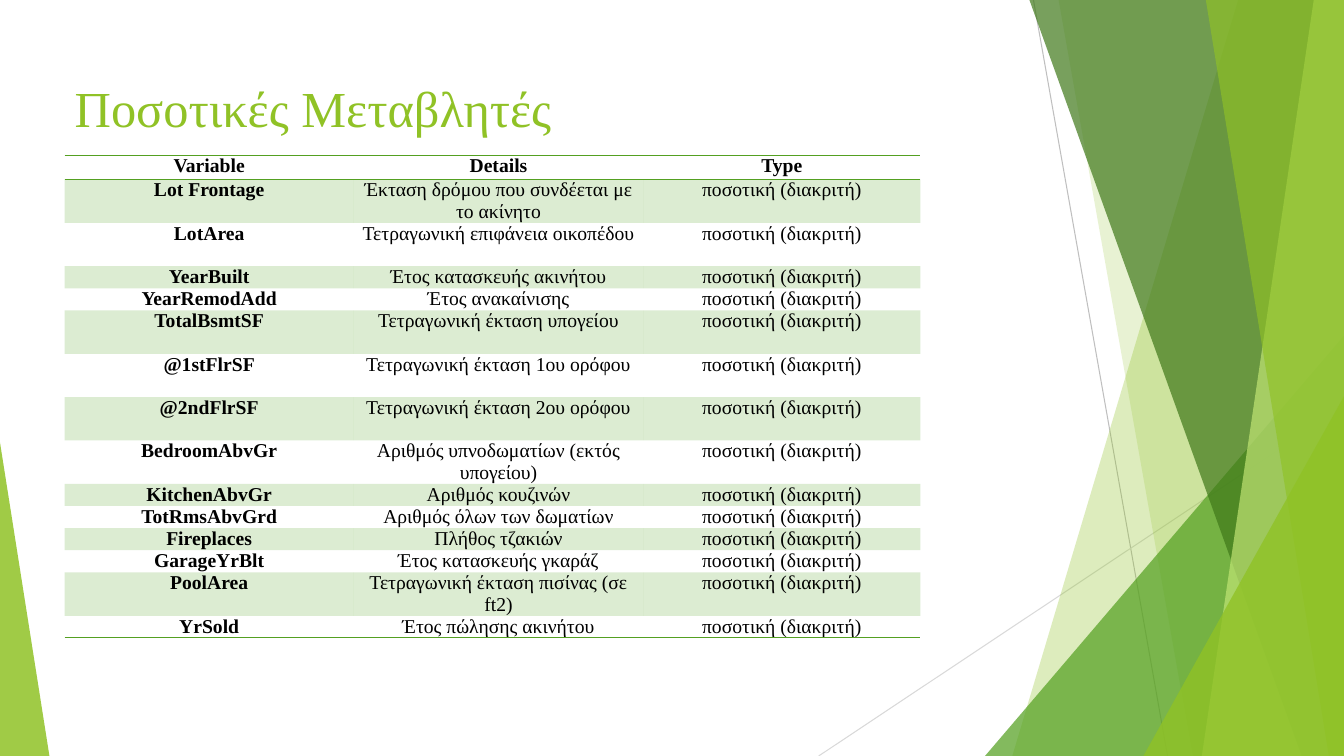
from lxml import etree
from pptx import Presentation
from pptx import util as u
from pptx.dml.color import RGBColor
from pptx.enum import shapes, text
from pptx.oxml.ns import qn

COLORS = {"lime": "90C226", "green": "54A021", "forest": "3F7819", "pale": "C0E474",
          "black": "000000", "gray": "BFBFBF", "light_gray": "D9D9D9"}
FONT = "Times New Roman"
WIDTH, HEIGHT = 13.33, 7.5
NO_GRID_STYLE = "{2D5ABB26-0587-4C30-8999-92F81FD0307C}"


def write(tf, content, size=14, color="black", bold=False, align=text.PP_ALIGN.CENTER):
    p = tf.paragraphs[0]
    p.alignment = align
    r = p.add_run()
    r.text = content
    r.font.name, r.font.size, r.font.bold = FONT, u.Pt(size), bold
    r.font.color.rgb = RGBColor.from_string(COLORS[color])


class Deck:
    def __init__(self, layout):
        self.prs = Presentation()
        self.prs.slide_width, self.prs.slide_height = u.Inches(WIDTH), u.Inches(HEIGHT)
        self.s = self.prs.slides.add_slide(self.prs.slide_layouts[layout])

    def fill(self, obj, color, opacity):
        obj.fill.solid()
        obj.fill.fore_color.rgb = RGBColor.from_string(COLORS[color])
        for clr in obj._element.iter(qn("a:srgbClr")):
            if clr.getparent().getparent().tag != qn("a:lnB"):
                etree.SubElement(clr, qn("a:alpha"), val=str(opacity * 1000))

    def paint(self, sp, color, opacity):
        sp.shadow.inherit = False
        sp.line.fill.background()
        self.fill(sp, color, opacity)

    def line(self, x1, y1, x2, y2, color):
        cx = self.s.shapes.add_connector(shapes.MSO_CONNECTOR.STRAIGHT, *map(u.Inches, (x1, y1, x2, y2)))
        cx.line.color.rgb = RGBColor.from_string(COLORS[color])
        cx.line.width = u.Pt(0.75)
        etree.SubElement(cx._element.spPr, qn("a:effectLst"))

    def facet(self, top_x, bottom_x, color, opacity):
        """Full-height panel with a slanted left edge, reaching the right slide edge."""
        corners = [(top_x, 0), (WIDTH, 0), (WIDTH, HEIGHT), (bottom_x, HEIGHT)]
        points = [(u.Inches(x), u.Inches(y)) for x, y in corners]
        fb = self.s.shapes.build_freeform(*points[0])
        fb.add_line_segments(points[1:], close=True)
        self.paint(fb.convert_to_shape(), color, opacity)

    def triangle(self, x, y, w, apex, color, opacity):
        """Triangle standing on the bottom slide edge."""
        sp = self.s.shapes.add_shape(shapes.MSO_SHAPE.ISOSCELES_TRIANGLE,
                                     *map(u.Inches, (x, y, w, HEIGHT - y)))
        sp.adjustments[0] = apex
        self.paint(sp, color, opacity)

    def title(self, content, x, y, w, h):
        sp = self.s.shapes.title
        sp.left, sp.top, sp.width, sp.height = map(u.Inches, (x, y, w, h))
        tf = sp.text_frame
        tf.word_wrap = True
        tf.vertical_anchor = text.MSO_ANCHOR.MIDDLE
        tf.paragraphs[0].line_spacing = 0.9
        write(tf, content, size=36, color="lime", align=text.PP_ALIGN.LEFT)
        self.s.shapes._spTree.append(sp._element)  # in front of the facets

    def border(self, cell, side):
        ln = etree.SubElement(cell._tc.get_or_add_tcPr(), qn("a:" + side), w=str(u.Pt(1)))
        solid = etree.SubElement(ln, qn("a:solidFill"))
        etree.SubElement(solid, qn("a:srgbClr"), val=COLORS["green"])

    def table(self, rows, x, y, col_widths, row_heights):
        gf = self.s.shapes.add_table(len(rows), len(col_widths), u.Inches(x), u.Inches(y),
                                     u.Inches(sum(col_widths)), u.Inches(sum(row_heights)))
        tbl = gf.table
        tbl._tbl.tblPr.find(qn("a:tableStyleId")).text = NO_GRID_STYLE
        tbl.horz_banding = False
        for col, width in zip(tbl.columns, col_widths):
            col.width = u.Inches(width)
        for i, (row, height) in enumerate(zip(rows, row_heights)):
            tbl.rows[i].height = u.Inches(height)
            for j, content in enumerate(row):
                cell = tbl.cell(i, j)
                cell.margin_left = cell.margin_right = u.Inches(0.07)
                cell.margin_top = cell.margin_bottom = 0
                write(cell.text_frame, content, bold=i == 0 or j == 0)
                if i == 0:
                    self.border(cell, "lnT")
                if i in (0, len(rows) - 1):
                    self.border(cell, "lnB")
                if i % 2:
                    cell.fill.solid()
                    cell.fill.fore_color.rgb = RGBColor.from_string(COLORS["green"])
                    clr = cell._tc.tcPr.find(qn("a:solidFill"))[0]
                    etree.SubElement(clr, qn("a:alpha"), val="20000")


# Variable, details, row height
VARIABLES = [
    ("Lot Frontage", "Έκταση δρόμου που συνδέεται με το ακίνητο", 0.43),
    ("LotArea", "Τετραγωνική επιφάνεια οικοπέδου", 0.43),
    ("YearBuilt", "Έτος κατασκευής ακινήτου", 0.22),
    ("YearRemodAdd", "Έτος ανακαίνισης", 0.22),
    ("TotalBsmtSF", "Τετραγωνική έκταση υπογείου", 0.43),
    ("@1stFlrSF", "Τετραγωνική έκταση 1ου ορόφου", 0.43),
    ("@2ndFlrSF", "Τετραγωνική έκταση 2ου ορόφου", 0.43),
    ("BedroomAbvGr", "Αριθμός υπνοδωματίων (εκτός υπογείου)", 0.43),
    ("KitchenAbvGr", "Αριθμός κουζινών", 0.22),
    ("TotRmsAbvGrd", "Αριθμός όλων των δωματίων", 0.22),
    ("Fireplaces", "Πλήθος τζακιών", 0.22),
    ("GarageYrBlt", "Έτος κατασκευής γκαράζ", 0.22),
    ("PoolArea", "Τετραγωνική έκταση πισίνας (σε ft2)", 0.43),
    ("YrSold", "Έτος πώλησης ακινήτου", 0.22),
]


def main():
    deck = Deck(layout=5)

    # Facet decoration, back to front
    deck.line(10.25, 0, 11.58, HEIGHT, "gray")
    deck.line(WIDTH, 4.03, 8.12, HEIGHT, "light_gray")
    deck.facet(12.28, 10.04, "lime", 30)
    deck.facet(10.5, 11.83, "lime", 20)
    deck.triangle(9.77, 3.33, 3.56, 1, "green", 72)
    deck.facet(10.21, 12.91, "forest", 70)
    deck.facet(13.03, 11.92, "pale", 70)
    deck.facet(11.96, 13.18, "lime", 65)
    deck.triangle(11.34, 3.93, 1.99, 1, "lime", 80)
    deck.triangle(0, 4.39, 0.49, 0, "lime", 85)

    # Title and table of variables
    deck.title("Ποσοτικές Μεταβλητές", 0.64, 0.67, 9.56, 0.87)
    rows = [("Variable", "Details", "Type")]
    rows += [(name, details, "ποσοτική (διακριτή)") for name, details, _ in VARIABLES]
    heights = [0.24] + [height for _, _, height in VARIABLES]
    deck.table(rows, 0.64, 1.54, [2.87, 2.87, 2.75], heights)

    deck.prs.save("out.pptx")


if __name__ == "__main__":
    main()
